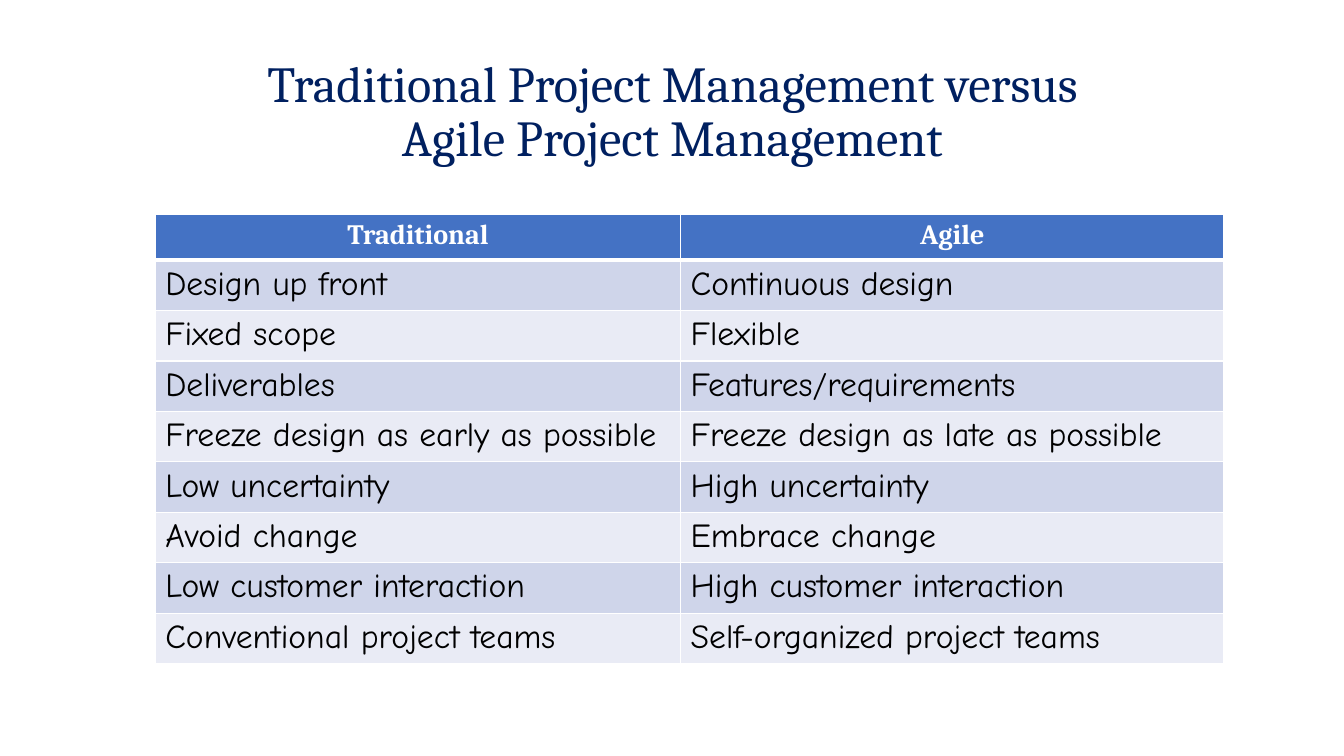
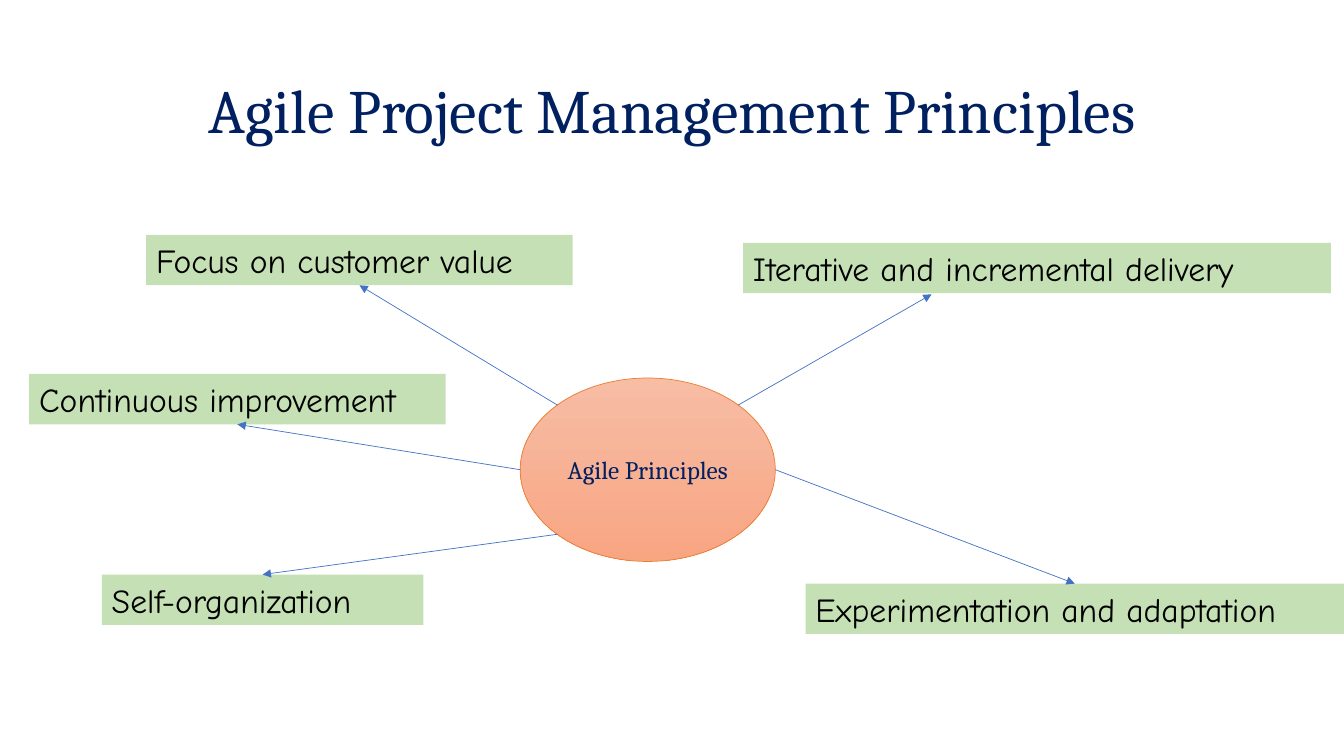
from lxml import etree
from pptx import Presentation
from pptx import util as u
from pptx.dml.color import RGBColor
from pptx.enum import shapes, text
from pptx.oxml import ns

NAVY = RGBColor(0x00, 0x20, 0x60)
BLACK = RGBColor(0x00, 0x00, 0x00)
WHITE = RGBColor(0xFF, 0xFF, 0xFF)
BLUE = RGBColor(0x44, 0x72, 0xC4)
BAND_DARK = RGBColor(0xCF, 0xD5, 0xEA)
BAND_LIGHT = RGBColor(0xE9, 0xEB, 0xF5)
GREEN = RGBColor(0xC5, 0xE0, 0xB4)
ORANGE = RGBColor(0xED, 0x7D, 0x31)
PEACH = (RGBColor(0xF7, 0xBD, 0xA5), RGBColor(0xF8, 0xA5, 0x82))

CENTER = text.PP_ALIGN.CENTER
LEFT = text.PP_ALIGN.LEFT
TITLE = {"name": "Cambria", "size": u.Pt(36), "bold": False}, NAVY, CENTER
BIG_TITLE = {**TITLE[0], "size": u.Pt(44)}, NAVY, CENTER
HUB = {**TITLE[0], "size": u.Pt(18)}, NAVY, CENTER
HEADER = {"name": "Cambria", "size": u.Pt(20), "bold": True}, WHITE, CENTER
BODY = {"name": "Comic Neue", "size": u.Pt(24), "bold": False}, BLACK, LEFT


def write(frame, wording, style):
    font_values, color, alignment = style
    frame.text = wording
    paragraph = frame.paragraphs[0]
    paragraph.alignment = alignment
    for run in paragraph.runs:
        for name, value in font_values.items():
            setattr(run.font, name, value)
        run.font.color.rgb = color
    return paragraph


def add_titled_slide(presentation, wording, style):
    slide = presentation.slides.add_slide(presentation.slide_layouts[6])
    title = slide.shapes.add_textbox(u.Inches(0.92), u.Inches(0.4), u.Inches(11.5), u.Inches(1.45))
    frame = title.text_frame
    frame.word_wrap = True
    frame.vertical_anchor = text.MSO_ANCHOR.MIDDLE
    write(frame, wording, style).line_spacing = 0.9
    return slide


presentation = Presentation()
presentation.slide_width = u.Inches(13.33)
presentation.slide_height = u.Inches(7.5)

slide = add_titled_slide(
    presentation, "Traditional Project Management versus\vAgile Project Management", TITLE)
comparison = [
    ("Traditional", "Agile"),
    ("Design up front", "Continuous design"),
    ("Fixed scope", "Flexible"),
    ("Deliverables", "Features/requirements"),
    ("Freeze design as early as possible", "Freeze design as late as possible"),
    ("Low uncertainty", "High uncertainty"),
    ("Avoid change", "Embrace change"),
    ("Low customer interaction", "High customer interaction"),
    ("Conventional project teams", "Self-organized project teams"),
]
row_height = u.Inches(0.45)
table = slide.shapes.add_table(
    len(comparison), 2, u.Inches(1.54), u.Inches(2.13),
    u.Inches(10.6), row_height * len(comparison)).table
for column, width in zip(table.columns, (5.21, 5.39)):
    column.width = u.Inches(width)
for row_index, wordings in enumerate(comparison):
    table.rows[row_index].height = row_height
    if row_index == 0:
        fill_color, style = BLUE, HEADER
    else:
        fill_color, style = (BAND_DARK if row_index % 2 else BAND_LIGHT), BODY
    for column_index, wording in enumerate(wordings):
        cell = table.cell(row_index, column_index)
        write(cell.text_frame, wording, style)
        properties = cell._tc.get_or_add_tcPr()
        for side in "LRTB":
            thick = (row_index, side) in ((0, "B"), (1, "T"))
            border = etree.SubElement(
                properties, ns.qn(f"a:ln{side}"), w=str(u.Pt(3 if thick else 1)))
            solid = etree.SubElement(border, ns.qn("a:solidFill"))
            etree.SubElement(solid, ns.qn("a:srgbClr"), val=str(WHITE))
        cell.fill.solid()
        cell.fill.fore_color.rgb = fill_color

slide = add_titled_slide(presentation, "Agile Project Management Principles", BIG_TITLE)
hub = slide.shapes.add_shape(
    shapes.MSO_SHAPE.OVAL, u.Inches(5.16), u.Inches(3.75), u.Inches(2.53), u.Inches(1.82))
hub.shadow.inherit = False
hub.fill.gradient()
hub.fill.gradient_angle = 270
for stop, color in zip(hub.fill.gradient_stops, PEACH):
    stop.color.rgb = color
hub.line.color.rgb = ORANGE
hub.line.width = u.Pt(0.5)
hub.text_frame.vertical_anchor = text.MSO_ANCHOR.MIDDLE
write(hub.text_frame, "Agile Principles", HUB)

TOP, BOTTOM = 0, 2
principles = [
    ("Iterative and incremental delivery", 7.37, 2.41, 5.83, (7.32, 4.02), (9.24, 2.92), None),
    ("Focus on customer value", 1.45, 2.33, 4.23, (5.53, 4.02), (3.56, 2.84), BOTTOM),
    ("Experimentation and adaptation", 7.99, 5.79, 5.34, (7.69, 4.66), (10.66, 5.79), TOP),
    ("Self-organization", 1.01, 5.7, 3.19, (5.53, 5.3), (2.6, 5.7), TOP),
    ("Continuous improvement", 0.29, 3.71, 4.13, (5.16, 4.66), (2.36, 4.21), BOTTOM),
]
for wording, left, top, width, start, end, side in principles:
    box = slide.shapes.add_shape(
        shapes.MSO_SHAPE.RECTANGLE, u.Inches(left), u.Inches(top), u.Inches(width), u.Inches(0.5))
    box.shadow.inherit = False
    box.fill.solid()
    box.fill.fore_color.rgb = GREEN
    box.line.fill.background()
    box.text_frame.word_wrap = True
    box.text_frame.vertical_anchor = text.MSO_ANCHOR.TOP
    write(box.text_frame, wording, BODY)

    arrow = slide.shapes.add_connector(
        shapes.MSO_CONNECTOR.STRAIGHT, *(u.Inches(value) for value in start + end))
    if side is not None:
        arrow.end_connect(box, side)
    arrow.line.color.rgb = BLUE
    arrow.line.width = u.Pt(0.5)
    etree.SubElement(arrow.line._get_or_add_ln(), ns.qn("a:tailEnd"), type="triangle")
    etree.SubElement(arrow._element.spPr, ns.qn("a:effectLst"))

presentation.save("out.pptx")
